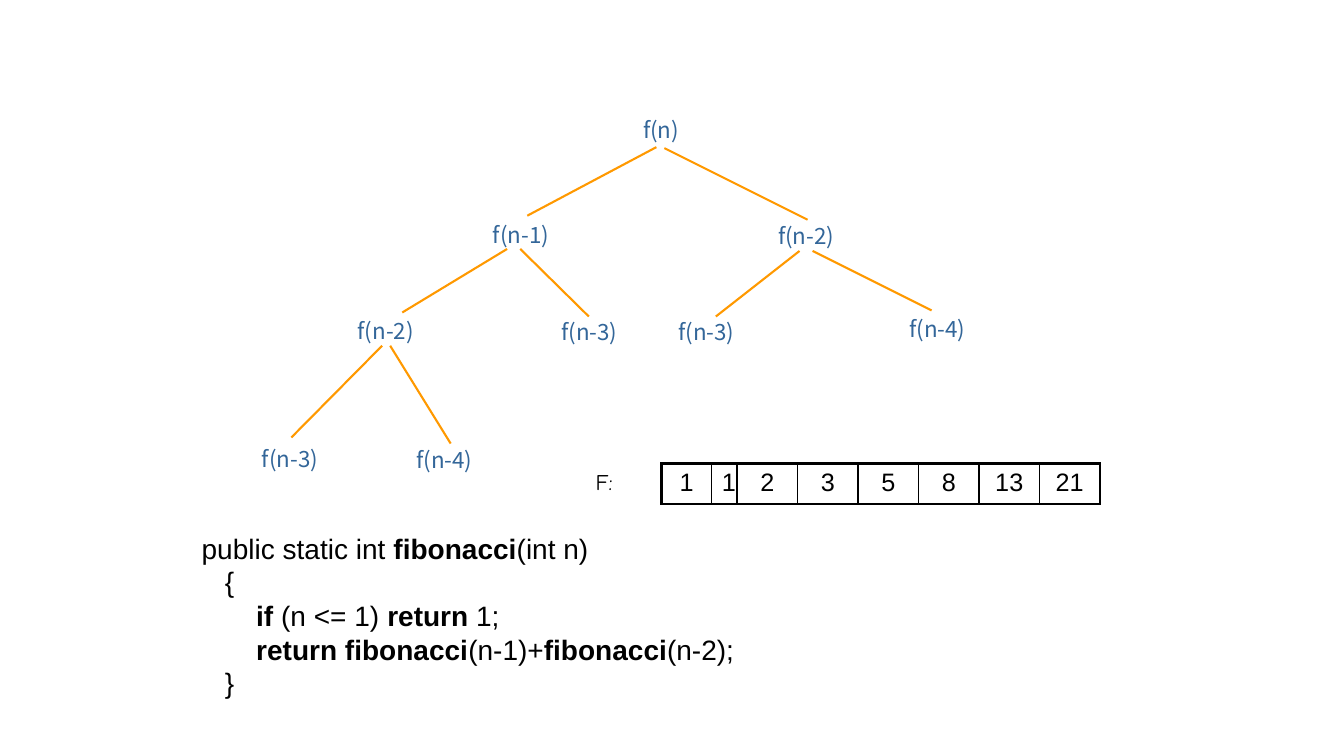
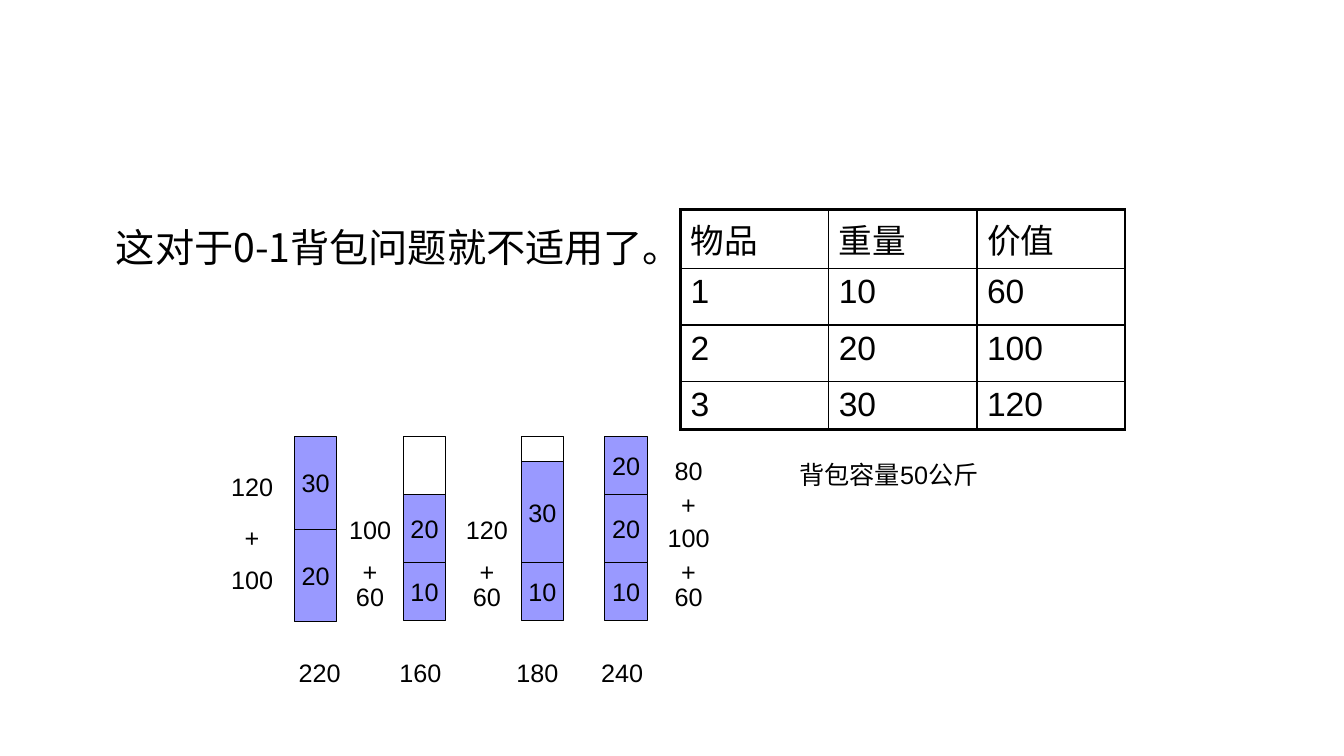
from pptx import Presentation
from pptx.dml.color import RGBColor
from pptx.enum.shapes import MSO_CONNECTOR, MSO_SHAPE
from pptx.enum.text import MSO_ANCHOR, MSO_AUTO_SIZE, PP_ALIGN
from pptx.oxml.ns import qn
from pptx.util import Inches, Pt
from lxml.etree import SubElement

BLACK = RGBColor(0x00, 0x00, 0x00)
NODE_BLUE = RGBColor(0x33, 0x66, 0x99)
BRANCH_ORANGE = RGBColor(0xFF, 0x99, 0x00)
BAR_VIOLET = RGBColor(0x99, 0x99, 0xFF)

LATIN, CJK, COMIC = "Arial", "Noto Sans CJK SC", "Comic Neue"
TITLE_AND_CONTENT, TITLE_ONLY = 1, 5
BAR_TOP, BAR_WIDTH = 4.33, 0.42
LABEL_SIZE = 0.5
TOTAL_TOP = 6.42

# The parts between ** marks are bold.
CODE = [
    "public static int **fibonacci**(int n)",
    "   {",
    "       **if** (n <= 1) **return** 1;",
    "       **return fibonacci**(n-1)+**fibonacci**(n-2);",
    "   }",
]
NODES = [
    ("f(n)", 6.28, 1.1),
    ("f(n-1)", 4.79, 2.14), ("f(n-2)", 7.62, 2.15),
    ("f(n-2)", 3.45, 3.1), ("f(n-3)", 5.47, 3.11),
    ("f(n-3)", 6.63, 3.11), ("f(n-4)", 8.92, 3.08),
    ("f(n-3)", 2.5, 4.37), ("f(n-4)", 4.03, 4.38),
]
BRANCHES = [
    (6.51, 1.46, 5.23, 2.14), (6.59, 1.47, 8.01, 2.18),
    (5.03, 2.47, 3.99, 3.1), (5.16, 2.47, 5.84, 3.14),
    (7.93, 2.49, 7.1, 3.14), (8.06, 2.49, 9.24, 3.08),
    (3.79, 3.43, 2.89, 4.34), (3.87, 3.43, 4.47, 4.4),
]
FIBONACCI = [["1", "1", "2", "3", "5", "8", "13", "21"]]
ITEMS = [
    ["物品", "重量", "价值"],
    ["1", "10", "60"],
    ["2", "20", "100"],
    ["3", "30", "120"],
]
# Left edge, blocks from the top (weight, height), total value, left of total
KNAPSACKS = [
    (2.92, [("30", 0.92), ("20", 0.92)], "220", 2.92),
    (4.0, [("", 0.58), ("20", 0.67), ("10", 0.58)], "160", 3.92),
    (5.17, [("", 0.25), ("30", 1.0), ("10", 0.58)], "180", 5.08),
    (6.0, [("20", 0.58), ("20", 0.67), ("10", 0.58)], "240", 5.92),
]
# Left edge, terms of the sum (text, top)
SUMS = [
    (2.25, [("120", 4.58), ("+", 5.08), ("100", 5.5)]),
    (3.42, [("100", 5.0), ("+", 5.42), ("60", 5.67)]),
    (4.58, [("120", 5.0), ("+", 5.42), ("60", 5.67)]),
    (6.58, [("80", 4.42), ("+", 4.75), ("100", 5.08), ("+", 5.42),
            ("60", 5.67)]),
]


def add_run(p, text, size, font=LATIN, color=BLACK, bold=False):
    r = p.add_run()
    r.text = text
    r.font.name, r.font.size, r.font.bold = font, Pt(size), bold
    r.font.color.rgb = color
    SubElement(r._r.get_or_add_rPr(), qn("a:ea"), typeface=CJK)


def place(shape, x, y, w, h):
    shape.left, shape.top = Inches(x), Inches(y)
    shape.width, shape.height = Inches(w), Inches(h)


def add_text(s, text, x, y, w, h, size, font=LATIN, color=BLACK, pitch=None):
    """Left-aligned text box; pitch is the line height in points."""
    tf = s.shapes.add_textbox(Inches(x), Inches(y), Inches(w), Inches(h)).text_frame
    tf.word_wrap = True
    p = tf.paragraphs[0]
    if pitch:
        p.line_spacing = Pt(pitch)
    add_run(p, text, size, font, color)


def center_text(tf, text):
    """Number in the exact middle of its box."""
    tf.margin_left = tf.margin_right = tf.margin_top = tf.margin_bottom = 0
    tf.vertical_anchor = MSO_ANCHOR.MIDDLE
    p = tf.paragraphs[0]
    p.alignment = PP_ALIGN.CENTER
    add_run(p, text, 18)


def add_label(s, text, x, y):
    box = s.shapes.add_textbox(Inches(x), Inches(y),
                               Inches(LABEL_SIZE), Inches(LABEL_SIZE))
    box.text_frame.word_wrap = True
    center_text(box.text_frame, text)


def add_block(s, text, x, y, h):
    """Part of a knapsack; without text it is unused room."""
    sp = s.shapes.add_shape(MSO_SHAPE.RECTANGLE, Inches(x), Inches(y),
                            Inches(BAR_WIDTH), Inches(h))
    sp.shadow.inherit = False
    sp.line.color.rgb, sp.line.width = BLACK, Pt(0.75)
    if text:
        sp.fill.solid()
        sp.fill.fore_color.rgb = BAR_VIOLET
        center_text(sp.text_frame, text)
    else:
        sp.fill.background()


def add_branch(s, x1, y1, x2, y2):
    line = s.shapes.add_connector(MSO_CONNECTOR.STRAIGHT, Inches(x1), Inches(y1),
                                  Inches(x2), Inches(y2))
    line.line.color.rgb, line.line.width = BRANCH_ORANGE, Pt(1.5)
    SubElement(line._element.spPr, qn("a:effectLst"))


def set_borders(cell, thick_sides):
    """Black cell borders, thick on the sides at the edge of the table."""
    tcPr = cell._tc.get_or_add_tcPr()
    for i, side in enumerate("LRTB"):
        width = Pt(2.25 if side in thick_sides else 1)
        ln = SubElement(tcPr, qn(f"a:ln{side}"), w=str(width))
        fill = SubElement(ln, qn("a:solidFill"))
        SubElement(fill, qn("a:srgbClr"), val=str(BLACK))


def add_grid(s, rows, x, y, widths, heights, size, align):
    frame = s.shapes.add_table(len(rows), len(widths), Inches(x), Inches(y),
                               Inches(sum(widths)), Inches(sum(heights)))
    table = frame.table
    table.first_row = table.horz_banding = False
    for column, w in zip(table.columns, widths):
        column.width = Inches(w)
    for i, (row, h) in enumerate(zip(rows, heights)):
        table.rows[i].height = Inches(h)
        for j, text in enumerate(row):
            cell = table.cell(i, j)
            edges = {"T": i == 0, "B": i == len(rows) - 1,
                     "L": j == 0, "R": j == len(row) - 1}
            set_borders(cell, [side for side, outer in edges.items() if outer])
            cell.fill.background()
            p = cell.text_frame.paragraphs[0]
            p.alignment = align
            add_run(p, text, size)


def fill_code(title):
    place(title, 1.9, 5.22, 9, 1.8)
    tf = title.text_frame
    tf.auto_size = MSO_AUTO_SIZE.NONE
    tf.vertical_anchor = MSO_ANCHOR.TOP
    for i, line in enumerate(CODE):
        p = tf.add_paragraph() if i else tf.paragraphs[0]
        p.alignment, p.line_spacing = PP_ALIGN.LEFT, Pt(24)
        for k, part in enumerate(line.split("**")):
            if part:
                add_run(p, part, 20, bold=k % 2 == 1)


def fill_statement(body, text):
    place(body, 0.67, 2.17, 5.89, 4.25)
    tf = body.text_frame
    tf.auto_size = MSO_AUTO_SIZE.NONE
    p = tf.paragraphs[0]
    pPr = p._p.get_or_add_pPr()
    pPr.set("marL", str(Inches(0.38)))
    pPr.set("indent", "0")
    SubElement(pPr, qn("a:buNone"))
    p.space_before, p.line_spacing = Pt(0), Pt(33.6)
    add_run(p, text, 28, CJK)


def build_fibonacci(prs):
    s = prs.slides.add_slide(prs.slide_layouts[TITLE_ONLY])
    fill_code(s.shapes.title)
    for text, x, y in NODES:
        add_text(s, text, x, y, 0.95, 0.37, 16, CJK, NODE_BLUE, 19.2)
    for ends in BRANCHES:
        add_branch(s, *ends)
    add_grid(s, FIBONACCI, 6.56, 4.6, [0.5, 0.25] + [0.6] * 6, [0.4], 18,
             PP_ALIGN.CENTER)
    add_text(s, "F:", 5.81, 4.6, 0.63, 0.37, 16, COMIC)


def build_knapsack(prs):
    s = prs.slides.add_slide(prs.slide_layouts[TITLE_AND_CONTENT])
    title = s.shapes.title._element
    title.getparent().remove(title)
    fill_statement(s.placeholders[1], "这对于0-1背包问题就不适用了。")
    add_grid(s, ITEMS, 6.75, 2.08, [1.47] * 3, [0.56] * 3 + [0.48], 24,
             PP_ALIGN.LEFT)
    add_text(s, "背包容量50公斤", 7.83, 4.5, 2.0, 0.4, 18, pitch=22)
    for x, blocks, total, total_x in KNAPSACKS:
        y = BAR_TOP
        for weight, h in blocks:
            add_block(s, weight, x, y, h)
            y += h
        add_label(s, total, total_x, TOTAL_TOP)
    for x, terms in SUMS:
        for text, y in terms:
            add_label(s, text, x, y)


def main():
    prs = Presentation()
    prs.slide_width, prs.slide_height = Inches(13.33), Inches(7.5)
    build_fibonacci(prs)
    build_knapsack(prs)
    prs.save("out.pptx")


if __name__ == "__main__":
    main()
